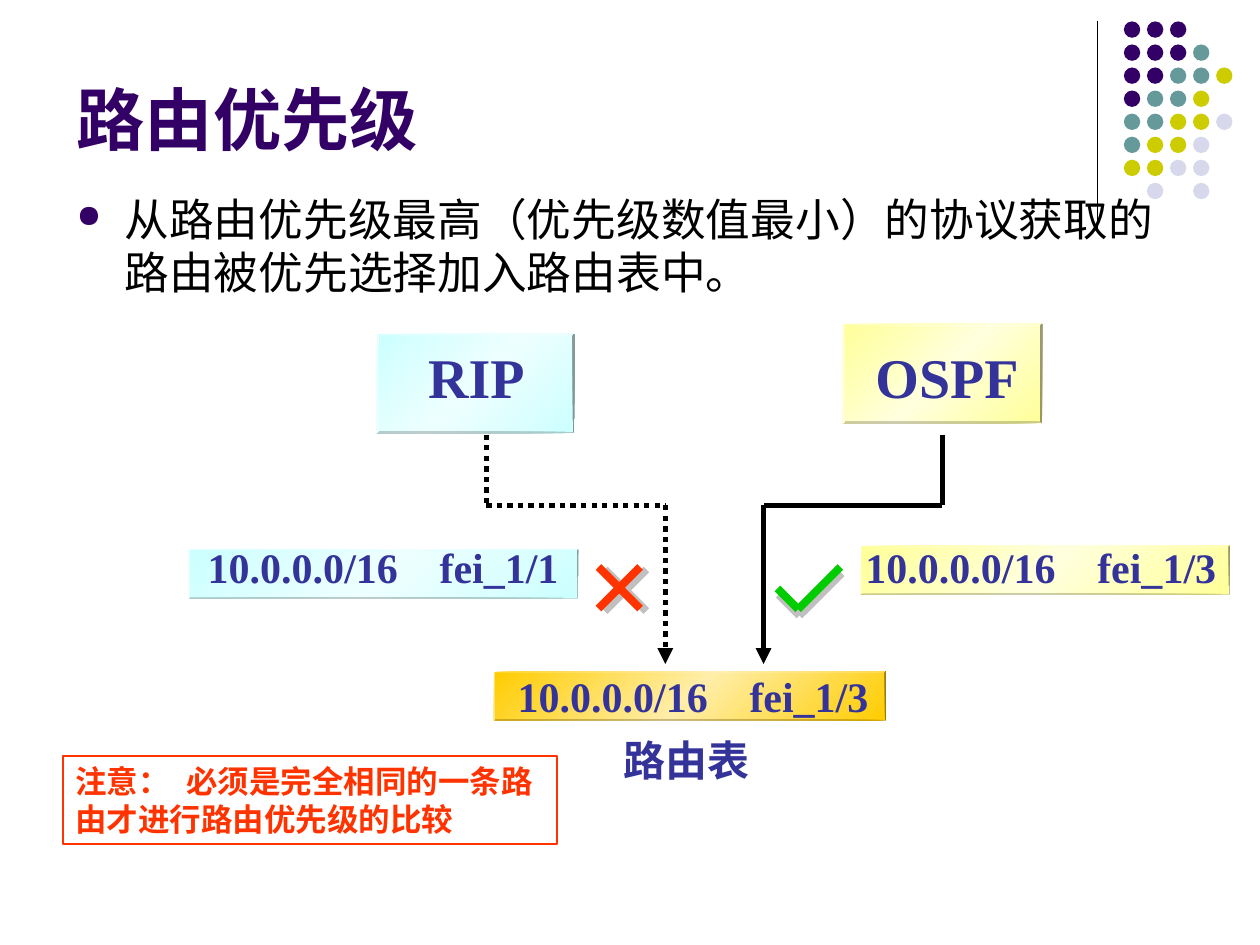
from copy import deepcopy

from pptx import Presentation
from pptx.dml.color import RGBColor
from pptx.enum.dml import MSO_LINE
from pptx.enum.shapes import MSO_CONNECTOR, MSO_SHAPE
from pptx.enum.text import MSO_ANCHOR, MSO_AUTO_SIZE
from pptx.oxml.ns import qn
from pptx.oxml.xmlchemy import OxmlElement
from pptx.util import Inches, Pt

COLORS = {
    "purple": "330066", "teal": "669999", "olive": "CCCC00", "lilac": "D8D8EC",
    "black": "000000", "navy": "333399", "red": "FF3300", "green": "00CC00",
    "gray": "C0C0C0", "cyan": "CCFFFF", "cyan_light": "EEFFFF",
    "yellow": "FFFF99", "yellow_light": "FFFFDD",
    "gold": "FFCC00", "gold_light": "FFEEA9",
}
DOT_COLORS = {"P": "purple", "T": "teal", "Y": "olive", "L": "lilac"}
DOT_ROWS = ["PPP", "PPPT", "PPTTY", "PTTY", "TTYYL", "TYYL", "YYLL", " L L"]
COLUMNS = 100  # the page is a grid of 100 columns by 75 square rows
SERIF, SANS = "Times New Roman", "Arial"


def rgb(name):
    return RGBColor.from_string(COLORS[name])


def add_element(parent, tag, **attributes):
    child = OxmlElement(tag)
    for key, value in attributes.items():
        child.set(key, str(value))
    parent.append(child)
    return child


class Painter:
    """Holds the style and the current slide; lengths are grid cells."""

    def __init__(self, deck):
        self.cell = deck.slide_width / COLUMNS
        self.page = deck.slides.add_slide(deck.slide_layouts[6])

    def grid(self, *cells):
        return [round(value * self.cell) for value in cells]

    def shape(self, kind, place):
        shape = self.page.shapes.add_shape(kind, *self.grid(*place))
        shape.shadow.inherit = False
        shape.line.fill.background()
        return shape

    def dot(self, place, color):
        dot = self.shape(MSO_SHAPE.OVAL, place)
        dot.fill.solid()
        dot.fill.fore_color.rgb = rgb(color)

    def plate(self, place, color):
        plate = self.shape(MSO_SHAPE.BEVEL, place)
        plate.adjustments[0] = 0.019
        plate.fill.gradient()
        plate.fill.gradient_angle = 315
        stop_list = plate._element.spPr.find(".//" + qn("a:gsLst"))
        stop_list.insert(1, deepcopy(stop_list[0]))
        names = (color, color + "_light", color)
        for stop, position, name in zip(plate.fill.gradient_stops, (0, 0.5, 1), names):
            stop.position = position
            stop.color.rgb = rgb(name)

    def line(self, start, end, color="black", width=3, dotted=False, arrow=False):
        line = self.page.shapes.add_connector(
            MSO_CONNECTOR.STRAIGHT, *self.grid(*start, *end))
        line.line.color.rgb = rgb(color)
        line.line.width = Pt(width)
        if dotted:
            line.line.dash_style = MSO_LINE.ROUND_DOT
        if arrow:
            add_element(line.line._get_or_add_ln(), "a:tailEnd", type="triangle")
        add_element(line._element.spPr, "a:effectLst")

    def path_lines(self, points, arrow=False, **style):
        last = len(points) - 2
        for index, (start, end) in enumerate(zip(points, points[1:])):
            self.line(start, end, arrow=arrow and index == last, **style)

    def text(self, place, words, size, color="navy", font=SERIF, bold=True,
             tab=None, bullet=None, anchor=MSO_ANCHOR.TOP, border=None, grow=True):
        box = self.page.shapes.add_textbox(*self.grid(*place))
        frame = box.text_frame
        frame.word_wrap = True
        frame.auto_size = MSO_AUTO_SIZE.SHAPE_TO_FIT_TEXT if grow else MSO_AUTO_SIZE.NONE
        frame.vertical_anchor = anchor
        if border:
            box.line.color.rgb = rgb(border)
            box.line.width = Pt(0.75)
        para = frame.paragraphs[0]
        para.text = words
        properties = para._p.get_or_add_pPr()
        if bullet:
            indent = Inches(0.38)
            properties.set("marL", str(indent))
            properties.set("indent", str(-indent))
            bullet_color = add_element(properties, "a:buClr")
            add_element(bullet_color, "a:srgbClr", val=COLORS[bullet])
            add_element(properties, "a:buSzPct", val=70000)
            add_element(properties, "a:buChar", char="●")
        if tab:
            tabs = add_element(properties, "a:tabLst")
            add_element(tabs, "a:tab", pos=self.grid(tab)[0], algn="l")
        para.font.size = Pt(size)
        para.font.name = font
        para.font.bold = bold
        para.font.color.rgb = rgb(color)

    def route(self, place, port):
        self.text((*place, 31.2, 5), f"10.0.0.0/16\t{port}", 24, tab=18.4)


def main():
    deck = Presentation()
    deck.slide_width, deck.slide_height = Inches(10), Inches(7.5)
    painter = Painter(deck)

    # Corner ornament
    painter.line((87.1, 1.7), (87.1, 18.3), width=0.75)
    for row, pattern in enumerate(DOT_ROWS):
        for column, letter in enumerate(pattern):
            if letter in DOT_COLORS:
                place = (89.2 + 1.83 * column, 1.7 + 1.83 * row, 1.3, 1.3)
                painter.dot(place, DOT_COLORS[letter])

    # Title and statement
    painter.text((5.1, 5.2, 82.5, 7.9), "路由优先级", 39, "purple", SANS,
                 anchor=MSO_ANCHOR.BOTTOM, grow=False)
    painter.text((5.1, 14.7, 90, 9.8),
                 "从路由优先级最高（优先级数值最小）的协议获取的路由被优先选择加入路由表中。",
                 25.5, "black", SANS, bold=False, bullet="purple", grow=False)

    # Protocols
    painter.plate((29.9, 26.5, 15.7, 7.9), "cyan")
    painter.plate((66.9, 25.7, 15.8, 7.9), "yellow")
    painter.text((33, 26.7, 13.6, 6.4), "RIP", 32)
    painter.text((68.5, 26.7, 13.4, 6.4), "OSPF", 32)

    # Candidate routes and the resulting route table
    painter.plate((15, 43.6, 30.9, 3.9), "cyan")
    painter.plate((68.3, 43.3, 29.3, 3.9), "yellow")
    painter.plate((39.2, 53.3, 31.1, 3.9), "gold")
    painter.route((15.5, 42.5), "fei_1/1")
    painter.route((67.7, 42.5), "fei_1/3")
    painter.route((40.1, 52.7), "fei_1/3")
    painter.text((48.5, 57.8, 15.8, 5), "路由表", 24)

    # Paths from the protocols to the table
    for source, target, dotted in ((38.6, 52.8, True), (74.8, 60.6, False)):
        painter.path_lines([(source, 34.5), (source, 40.1), (target, 40.1),
                            (target, 52.7)], arrow=True, dotted=dotted)

    # Cross and check mark, each over its gray shade
    for left, top, color in ((48, 45.2, "gray"), (47.5, 45, "red")):
        right, bottom = left + 3.3, top + 3.3
        painter.line((left, top), (right, bottom), color, 4.5)
        painter.line((right, top), (left, bottom), color, 4.5)
    for left, top, color in ((61.8, 45.5, "gray"), (61.7, 45, "green")):
        painter.path_lines([(left, top + 1.7), (left + 1.65, top + 3.35),
                            (left + 5, top)], color=color, width=4.5)

    # Note
    painter.text((5, 60, 39.2, 7), "注意：\t必须是完全相同的一条路由才进行路由优先级的比较",
                 18, "red", tab=8.8, border="red")

    deck.save("out.pptx")


if __name__ == "__main__":
    main()
